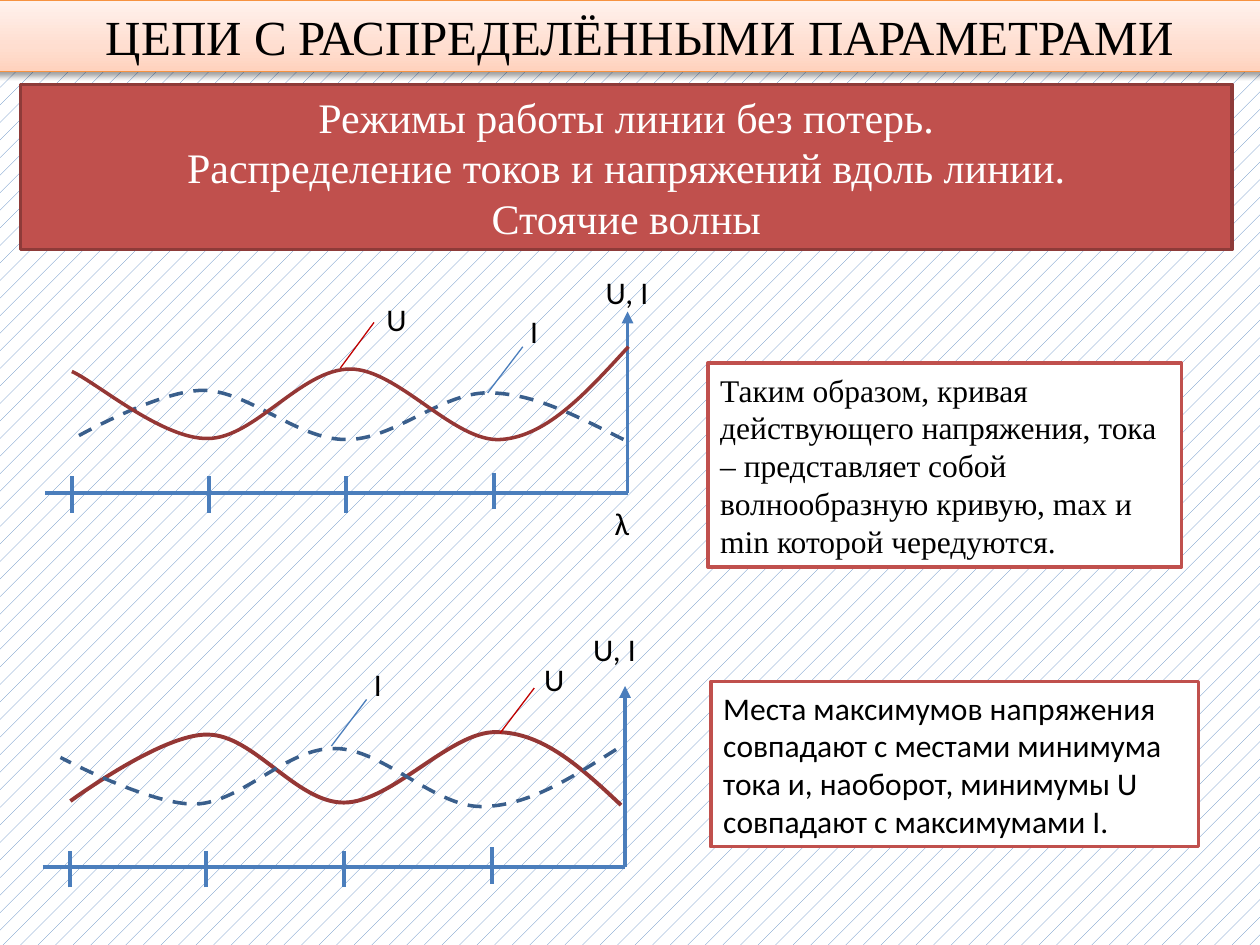
import copy
import pptx
import pptx.util
import pptx.dml.color
import pptx.enum.dml
import pptx.enum.shapes
import pptx.enum.text
import pptx.oxml
import pptx.oxml.ns
from lxml import etree

Cm = pptx.util.Cm
Pt = pptx.util.Pt
qn = pptx.oxml.ns.qn
RGBColor = pptx.dml.color.RGBColor
ALIGN = pptx.enum.text.PP_ALIGN

BLACK = RGBColor(0x00, 0x00, 0x00)
WHITE = RGBColor(0xFF, 0xFF, 0xFF)
HATCH = RGBColor(0x4F, 0x81, 0xBD)
AXIS = RGBColor(0x4B, 0x7E, 0xBC)
CURRENT = RGBColor(0x3A, 0x5F, 0x8C)
VOLTAGE = RGBColor(0x95, 0x37, 0x35)
LEADER_RED = RGBColor(0xC0, 0x00, 0x00)
RED = RGBColor(0xC0, 0x50, 0x4D)
DARK_RED = RGBColor(0x8E, 0x3B, 0x39)
ORANGE = RGBColor(0xF6, 0x92, 0x40)
TITLE_STOPS = [(0, RGBColor(0xFF, 0xD2, 0xBD)), (0.35, RGBColor(0xFF, 0xDE, 0xD0)),
               (1, RGBColor(0xFF, 0xF2, 0xED))]
SERIF, SANS = "Times New Roman", "Calibri"

TITLE = ["ЦЕПИ С РАСПРЕДЕЛЁННЫМИ ПАРАМЕТРАМИ"]
SUBTITLE = ["Режимы работы линии без потерь.",
            "Распределение токов и напряжений вдоль линии.",
            "Стоячие волны"]
NOTES = [
    ((14.27, 7.32, 9.55, 4.11), SERIF,
     "Таким образом, кривая действующего напряжения, тока – представляет собой "
     "волнообразную кривую, max и min которой чередуются."),
    ((14.33, 13.74, 9.83, 3.33), SANS,
     "Места максимумов напряжения совпадают с местами минимума тока и, наоборот, "
     "минимумы U совпадают с максимумами I."),
]
LABELS = [
    ("U, I", 11.96, 5.38, 1.88, True), ("U", 7.54, 5.92, 0.91, False),
    ("I", 10.44, 6.17, 0.53, True), ("λ", 12.14, 10.03, 0.51, True),
    ("U, I", 11.71, 12.57, 1.37, False), ("U", 10.72, 13.18, 0.91, False),
    ("I", 7.29, 13.28, 0.53, True),
]
AXIS_ORIGINS = [(0.91, 9.93), (0.86, 17.48)]
AXIS_LENGTH, AXIS_HEIGHT = 11.74, 3.65
TICKS = [(0.55, 0.41), (3.3, 0.41), (6.07, 0.41), (9.05, 0.34)]
TICK_HEIGHT = 0.74
LEADERS = [
    ((6.86, 7.42), (7.54, 6.5), LEADER_RED), ((9.83, 7.92), (10.54, 6.99), AXIS),
    ((10.08, 14.78), (10.77, 13.87), LEADER_RED), ((6.68, 15.04), (7.39, 14.1), AXIS),
]
CURVES = [
    (CURRENT, 2, True, [
        (12.57, 8.86), (11.66, 8.41), (10.77, 7.92), (9.83, 7.92), (8.89, 7.92),
        (7.9, 8.89), (6.96, 8.86), (5.99, 8.86), (5, 7.87), (4.09, 7.87),
        (3.18, 7.87), (1.45, 8.86), (1.45, 8.86)]),
    (VOLTAGE, 2, False, [
        (12.67, 6.99), (11.86, 7.87), (11.05, 8.79), (10.11, 8.86), (9.17, 8.94),
        (8.03, 7.44), (7.06, 7.44), (6.07, 7.44), (5.13, 8.84), (4.19, 8.84),
        (3.28, 8.86), (1.93, 7.7), (1.45, 7.49)]),
    (VOLTAGE, 2.25, False, [
        (12.52, 16.23), (11.73, 15.49), (10.95, 14.76), (10.01, 14.76), (9.09, 14.73),
        (7.9, 16.18), (6.93, 16.18), (5.97, 16.18), (5.11, 14.81), (4.19, 14.81),
        (3.28, 14.78), (1.42, 16.15), (1.42, 16.15)]),
    (CURRENT, 2, True, [
        (12.42, 15.11), (11.53, 15.67), (10.64, 16.26), (9.7, 16.26), (8.76, 16.26),
        (7.7, 15.09), (6.76, 15.09), (5.79, 15.06), (4.88, 16.18), (3.94, 16.21),
        (3.02, 16.23), (1.22, 15.27), (1.22, 15.27)]),
]


def write(sp, lines, size, font, color, align=ALIGN.LEFT, wrap=True):
    tf = sp.text_frame
    tf.word_wrap = wrap
    tf.auto_size = pptx.enum.text.MSO_AUTO_SIZE.SHAPE_TO_FIT_TEXT
    for i, line in enumerate(lines):
        p = tf.add_paragraph() if i else tf.paragraphs[0]
        p.alignment = align
        r = p.add_run()
        r.text = line
        r.font.size = Pt(size)
        r.font.name = font
        r.font.color.rgb = color


def add_box(s, box, fill, line, width):
    sp = s.shapes.add_shape(pptx.enum.shapes.MSO_SHAPE.RECTANGLE, *map(Cm, box))
    sp.shadow.inherit = False
    sp.fill.solid()
    sp.fill.fore_color.rgb = fill
    sp.line.color.rgb = line
    sp.line.width = Pt(width)
    return sp


def add_line(s, start, end, color, width, arrow=False):
    sp = s.shapes.add_connector(pptx.enum.shapes.MSO_CONNECTOR.STRAIGHT,
                                *map(Cm, start + end))
    sp.line.color.rgb = color
    sp.line.width = Pt(width)
    if arrow:
        etree.SubElement(sp.line._get_or_add_ln(), qn("a:tailEnd"), type="triangle")
    etree.SubElement(sp._element.spPr, qn("a:effectLst"))


def add_curve(s, color, width, dashed, points):
    points = [(Cm(x), Cm(y)) for x, y in points]
    fb = s.shapes.build_freeform(*points[0])
    fb.add_line_segments(points[1:], close=False)
    sp = fb.convert_to_shape()
    sp.shadow.inherit = False
    sp.fill.background()
    sp.line.color.rgb = color
    sp.line.width = Pt(width)
    if dashed:
        sp.line.dash_style = pptx.enum.dml.MSO_LINE.DASH
    segments = list(sp._element.iter(qn("a:lnTo")))
    outline = segments[0].getparent()
    for i in range(0, len(segments), 3):
        bezier = etree.SubElement(outline, qn("a:cubicBezTo"))
        for segment in segments[i:i + 3]:
            bezier.append(segment[0])
            outline.remove(segment)


def style_title(sp):
    sp.fill.gradient()
    sp.fill.gradient_angle = 90
    stops = next(sp._element.iter(qn("a:gsLst")))
    stops.append(copy.deepcopy(stops[-1]))
    for stop, (position, color) in zip(sp.fill.gradient_stops, TITLE_STOPS):
        stop.position = position
        stop.color.rgb = color
    effects = sp._element.spPr.find(qn("a:effectLst"))
    shadow = etree.SubElement(effects, qn("a:outerShdw"), blurRad="40000", dist="20000",
                              dir="5400000", rotWithShape="0")
    black = etree.SubElement(shadow, qn("a:srgbClr"), val="000000")
    etree.SubElement(black, qn("a:alpha"), val="38000")


def main():
    prs = pptx.Presentation()
    prs.slide_width, prs.slide_height = Cm(25.4), Cm(19.05)
    s = prs.slides.add_slide(prs.slide_layouts[6])
    bg = s.background.fill
    bg.patterned()
    bg.pattern = pptx.enum.dml.MSO_PATTERN.PERCENT_5
    bg.fore_color.rgb = HATCH
    bg.back_color.rgb = WHITE

    sp = add_box(s, (-0.3, 0, 26.39, 1.45), WHITE, ORANGE, 0.75)
    style_title(sp)
    write(sp, TITLE, 28, SERIF, BLACK, ALIGN.CENTER)
    sp = add_box(s, (0.41, 1.7, 24.43, 3.33), RED, DARK_RED, 2)
    write(sp, SUBTITLE, 24, SERIF, WHITE, ALIGN.CENTER)
    for box, font, text in NOTES:
        write(add_box(s, box, WHITE, RED, 2), [text], 18, font, BLACK)

    for x, y in AXIS_ORIGINS:
        end = x + AXIS_LENGTH
        add_line(s, (x, y), (end, y), AXIS, 2.25)
        add_line(s, (end, y), (end, y - AXIS_HEIGHT), AXIS, 2.25, arrow=True)
        for dx, below in TICKS:
            bottom = y + below
            add_line(s, (x + dx, bottom), (x + dx, bottom - TICK_HEIGHT), AXIS, 2.25)
    for curve in CURVES:
        add_curve(s, *curve)
    for start, end, color in LEADERS:
        add_line(s, start, end, color, 0.75)
    for text, x, y, width, wrap in LABELS:
        sp = s.shapes.add_textbox(Cm(x), Cm(y), Cm(width), Cm(1.02))
        write(sp, [text], 18, SANS, BLACK, wrap=wrap)

    prs.save("out.pptx")


if __name__ == "__main__":
    main()
